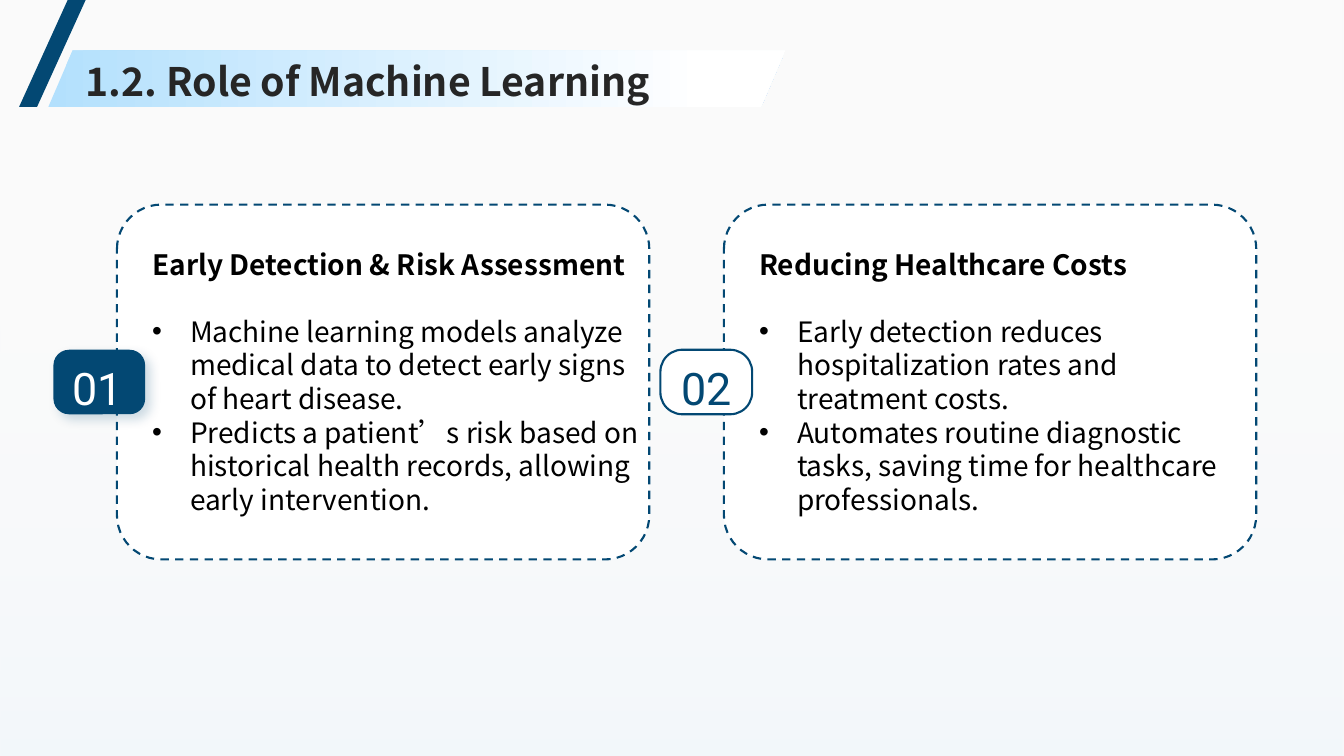
from dataclasses import dataclass

from lxml import etree
from pptx import Presentation
from pptx import util as u
from pptx.dml.color import RGBColor
from pptx.enum import dml, shapes, text
from pptx.oxml import parse_xml
from pptx.oxml.ns import nsdecls, qn

PX = 9144
SLIDE_W, SLIDE_H = 1333, 750
CARD_TOP, CARD_W, CARD_H = 203, 528, 352
FIRST_CARD_LEFT, CARD_PITCH = 116, 602


@dataclass(frozen=True)
class Theme:
    """Colours, fonts and type sizes of the slide."""
    navy: str = "034873"
    sky: str = "B3E0FD"
    white: str = "FFFFFF"
    page: str = "FAFAFA"
    title_ink: str = "262626"
    ink: str = "000000"
    text_font: str = "Noto Sans CJK SC"
    number_font: str = "Roboto"
    title_size: int = 28
    text_size: int = 20
    number_size: int = 32
    line_pitch: int = 24


THEME = Theme()

CARDS = [
    ("01", True, "Early Detection & Risk Assessment", [
        "Machine learning models analyze medical data to detect early signs of heart disease.",
        "Predicts a patient’s risk based on historical health records, allowing early intervention.",
    ]),
    ("02", False, "Reducing Healthcare Costs", [
        "Early detection reduces hospitalization rates and treatment costs.",
        "Automates routine diagnostic tasks, saving time for healthcare professionals.",
    ]),
]


def rgb(code):
    """Return the colour for a hex code."""
    return RGBColor.from_string(code)


def add_panel(slide, kind, box, fill=None, outline=None, adjust=None):
    """Add a preset shape without shadow at a px box."""
    panel = slide.shapes.add_shape(kind, *(v * PX for v in box))
    panel.shadow.inherit = False
    if adjust is not None:
        panel.adjustments[0] = adjust
    if fill:
        panel.fill.solid()
        panel.fill.fore_color.rgb = rgb(fill)
    if outline:
        panel.line.color.rgb = rgb(outline)
        panel.line.width = u.Pt(1.5)
    else:
        panel.line.fill.background()
    return panel


def fade(panel, stops, angle):
    """Fill a panel with a linear gradient of (position, colour) stops."""
    panel.fill.gradient()
    panel.fill.gradient_angle = angle
    for stop, (position, colour) in zip(panel.fill.gradient_stops, stops):
        stop.position = position
        stop.color.rgb = rgb(colour)


def style_runs(paragraph, font, size, colour, bold=False):
    """Format every run of a paragraph."""
    for run in paragraph.runs:
        run.font.name = font
        run.font.size = u.Pt(size)
        run.font.bold = bold
        run.font.color.rgb = rgb(colour)


def place_text(holder, box):
    """Move a placeholder to a px box in front, with no insets."""
    holder.left, holder.top, holder.width, holder.height = (v * PX for v in box)
    holder._element.getparent().append(holder._element)
    frame = holder.text_frame
    frame.margin_left = frame.margin_right = frame.margin_top = frame.margin_bottom = 0
    frame.word_wrap = True
    frame.auto_size = text.MSO_AUTO_SIZE.NONE
    frame.vertical_anchor = text.MSO_ANCHOR.MIDDLE
    return frame


def draw_backdrop(slide, box):
    """Colour the page and lay a faint blue fade over it from the bottom."""
    slide.background.fill.solid()
    slide.background.fill.fore_color.rgb = rgb(THEME.page)
    haze = add_panel(slide, shapes.MSO_SHAPE.RECTANGLE, box)
    fade(haze, [(0, THEME.sky), (0.68, THEME.white)], 90)
    for colour, alpha in zip(haze._element.iter(qn("a:srgbClr")), (10000, 0)):
        etree.SubElement(colour, qn("a:alpha")).set("val", str(alpha))


def draw_header(slide, box, wording):
    """Draw the slanted ribbon, its accent bar and the title."""
    left, top, width, height = box
    slant = shapes.MSO_SHAPE.PARALLELOGRAM
    ribbon = add_panel(slide, slant, box, adjust=0.43)
    fade(ribbon, [(0, THEME.sky), (0.89, THEME.white)], 0)
    add_panel(slide, slant, (left - 29, 0, 66, top + height), THEME.navy, adjust=0.73)
    frame = place_text(slide.shapes.title, (left + 37, top + 2, 1175, 51))
    frame.text = wording
    title = frame.paragraphs[0]
    title.alignment = text.PP_ALIGN.LEFT
    title.line_spacing = 1.1
    style_runs(title, THEME.text_font, THEME.title_size, THEME.title_ink, True)


def draw_badge(slide, box, number, solid):
    """Draw a numbered badge, either solid with a shadow or outlined."""
    fill, ink = (THEME.navy, THEME.white) if solid else (THEME.white, THEME.navy)
    badge = add_panel(slide, shapes.MSO_SHAPE.ROUNDED_RECTANGLE, box, fill,
                      None if solid else THEME.navy, 0.24 if solid else 0.34)
    if solid:
        badge._element.spPr.find(qn("a:effectLst")).append(parse_xml(
            f'<a:outerShdw {nsdecls("a")} blurRad="{u.Pt(8)}" dist="{u.Pt(5)}" '
            f'dir="2700000" algn="tl" rotWithShape="0"><a:srgbClr val="{THEME.navy}">'
            '<a:alpha val="20000"/></a:srgbClr></a:outerShdw>'))
    frame = badge.text_frame
    frame.margin_left = frame.margin_top = 0
    frame.margin_right = 4 * PX if solid else 0
    frame.margin_bottom = 4 * PX
    frame.word_wrap = True
    frame.vertical_anchor = text.MSO_ANCHOR.MIDDLE
    frame.text = number
    label = frame.paragraphs[0]
    label.alignment = text.PP_ALIGN.CENTER
    label.line_spacing = 1.3
    style_runs(label, THEME.number_font, THEME.number_size, ink)


def draw_card(slide, box, body, number, solid, heading, points):
    """Draw a dashed card with its badge, heading and bullet points."""
    left, top, width, height = box
    card = add_panel(slide, shapes.MSO_SHAPE.ROUNDED_RECTANGLE, box,
                     THEME.white, THEME.navy, 0.125)
    card.line.dash_style = dml.MSO_LINE.DASH
    draw_badge(slide, (left - 63, top + 144, 91, 64), number, solid)
    frame = place_text(body, (left + 35, top + 12, 485, 327))
    frame.text = "\n".join([heading, *points])
    for paragraph in frame.paragraphs:
        is_heading = paragraph is frame.paragraphs[0] or paragraph.text == heading
        if is_heading:
            properties = paragraph._p.get_or_add_pPr()
            properties.set("marL", "0")
            properties.set("indent", "0")
            etree.SubElement(properties, qn("a:buNone"))
        paragraph.space_before = u.Pt(0)
        paragraph.space_after = u.Pt(THEME.line_pitch if is_heading else 0)
        paragraph.line_spacing = u.Pt(THEME.line_pitch)
        style_runs(paragraph, THEME.text_font, THEME.text_size, THEME.ink, is_heading)


def main():
    """Build the slide and save it."""
    deck = Presentation()
    deck.slide_width, deck.slide_height = SLIDE_W * PX, SLIDE_H * PX
    slide = deck.slides.add_slide(deck.slide_layouts[3])
    bodies = [slide.placeholders[1], slide.placeholders[2]]
    draw_backdrop(slide, (0, 0, SLIDE_W, SLIDE_H))
    for index, (body, content) in enumerate(zip(bodies, CARDS)):
        left = FIRST_CARD_LEFT + index * CARD_PITCH
        draw_card(slide, (left, CARD_TOP, CARD_W, CARD_H), body, *content)
    draw_header(slide, (48, 50, 731, 56), "1.2. Role of Machine Learning")
    deck.save("out.pptx")


if __name__ == "__main__":
    main()
